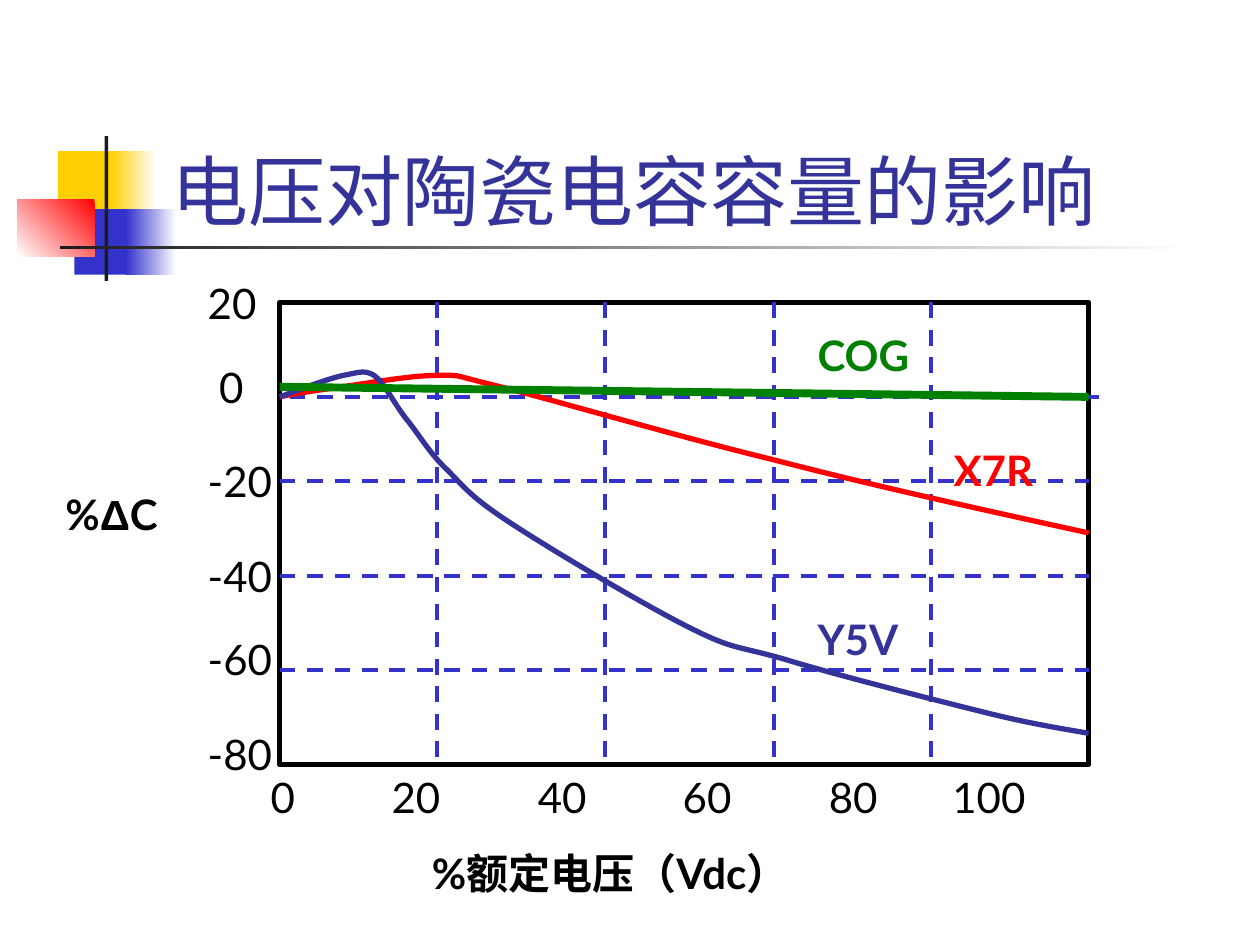
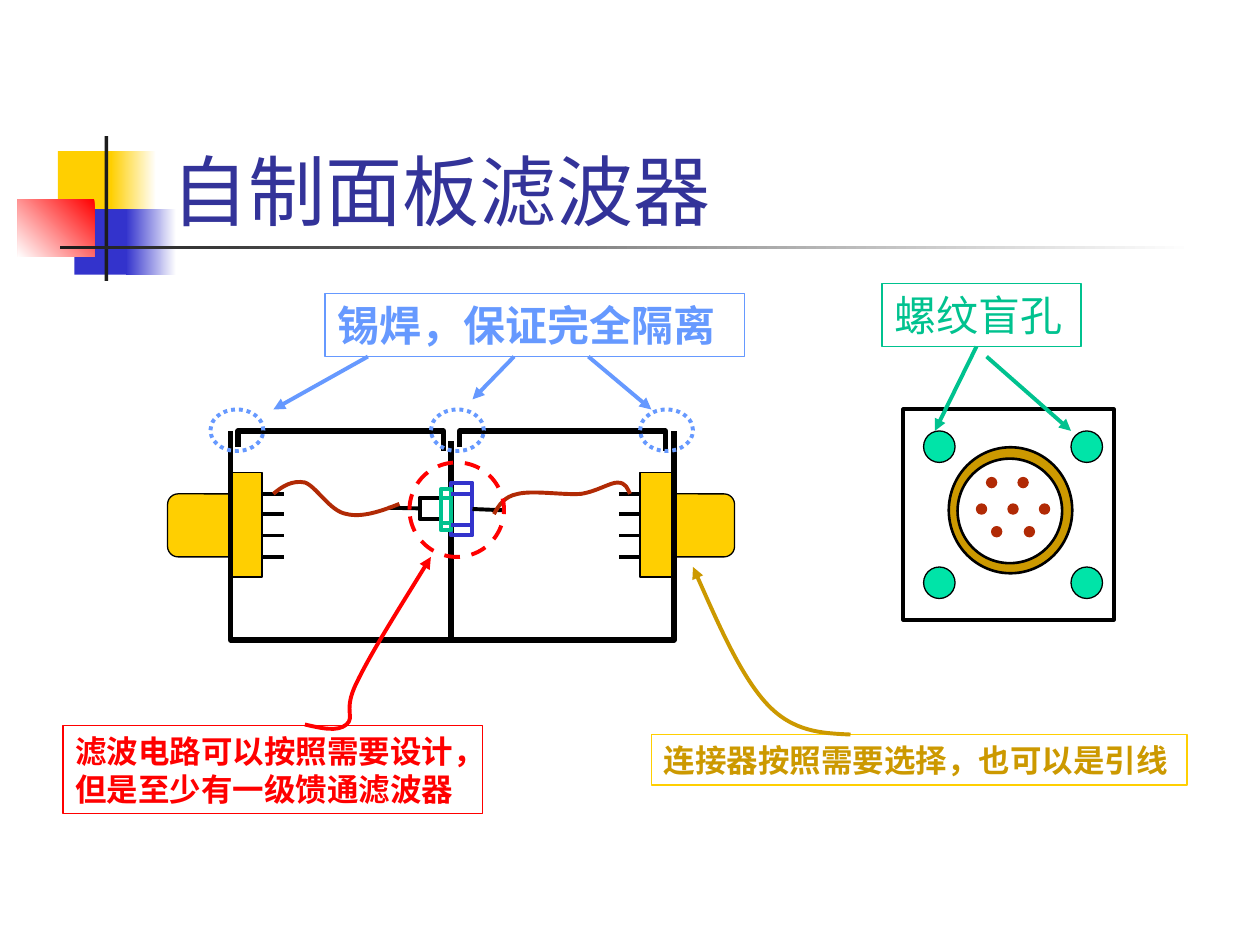
"""Build two slides: capacitor voltage curves and a home-made panel filter."""
from lxml import etree
from pptx import Presentation
from pptx.dml.color import RGBColor
from pptx.enum.dml import MSO_LINE
from pptx.enum.shapes import MSO_CONNECTOR, MSO_SHAPE
from pptx.enum.text import MSO_ANCHOR, MSO_AUTO_SIZE, PP_ALIGN
from pptx.oxml.ns import qn
from pptx.util import Inches, Pt

RECT, OVAL, ROUNDED = MSO_SHAPE.RECTANGLE, MSO_SHAPE.OVAL, MSO_SHAPE.ROUNDED_RECTANGLE
STRAIGHT = MSO_CONNECTOR.STRAIGHT
DASH, DOT = MSO_LINE.DASH, MSO_LINE.ROUND_DOT
LEFT, TOP, BOTTOM = PP_ALIGN.LEFT, MSO_ANCHOR.TOP, MSO_ANCHOR.BOTTOM
SIDE_LEFT, SIDE_RIGHT = 1, 3
TITLE_ONLY = 5
FONT = "Lato"

COLORS = {
    "white": "FFFFFF", "black": "000000", "ink": "1C1C1C", "title": "333399",
    "yellow": "FFCF01", "blue": "3333CC", "red": "FF0000", "green": "008000",
    "teal": "00C28F", "mint": "00E4A8", "rust": "B12A05", "gold": "CC9900",
    "sky": "6699FF",
}

TITLE_AT = (1.26, 0.67, 8.52, 1.25)
DECOR = [
    ((0.46, 1.2, 0.48, 0.52), "yellow"),
    ((0.88, 1.2, 0.36, 0.52), ("white", "yellow", 180)),
    ((0.59, 1.66, 0.46, 0.52), "blue"),
    ((1, 1.66, 0.4, 0.52), ("white", "blue", 180)),
    ((0.14, 1.58, 0.61, 0.46), ("red", "white", 225)),
    ((0.83, 1.08, 0.03, 1.15), "ink"),
    ((0.48, 1.95, 9, 0.03), ("white", "ink", 180)),
]

CHART_TITLE = "电压对陶瓷电容容量的影响"
PLOT = (2.22, 2.4, 6.42, 3.67)
GRID_X = [3.47, 4.8, 6.14, 7.39]
GRID_Y = [3.82, 4.57, 5.32]
ZERO_LINE = ((2.3, 3.15), (8.72, 3.15))
COG_LINE = ((2.22, 3.07), (8.64, 3.15))
CURVES = [
    ("red", [(2.22, 3.15), (2.36, 3.12), (2.51, 3.1), (2.72, 3.07), (2.93, 3.04),
             (3.26, 2.98), (3.47, 2.98), (3.68, 2.98), (3.52, 2.96), (3.97, 3.07),
             (4.41, 3.18), (5.36, 3.46), (6.14, 3.65), (6.91, 3.85), (7.77, 4.04),
             (8.64, 4.23)]),
    ("title", [(2.22, 3.15), (2.41, 3.08), (2.59, 3.01), (2.72, 2.98), (2.84, 2.96),
               (2.89, 2.93), (2.97, 2.98), (3.05, 3.04), (3.12, 3.19), (3.22, 3.32),
               (3.32, 3.44), (3.41, 3.6), (3.55, 3.73), (3.69, 3.87), (3.73, 3.94),
               (4.05, 4.15), (4.37, 4.36), (5.11, 4.8), (5.47, 4.98), (5.83, 5.16),
               (5.83, 5.12), (6.22, 5.23), (6.61, 5.35), (7.4, 5.55), (7.8, 5.65),
               (8.2, 5.75), (8.42, 5.78), (8.64, 5.82)]),
]
CURVE_LABELS = [("COG", 6.39, 2.57, "green"), ("X7R", 7.47, 3.48, "red"),
                ("Y5V", 6.39, 4.82, "title")]
Y_LABELS = [("20", 1.55, 2.15), ("0", 1.64, 2.82), ("-20", 1.55, 3.57),
            ("-40", 1.55, 4.32), ("-60", 1.55, 4.98), ("-80", 1.55, 5.73)]
X_LABELS = ["0", "20", "40", "60", "80", "100"]
X_TABS = [0.96, 2.12, 3.27, 4.43, 5.41]
X_AXIS_AT = (2.05, 6.07, 7, 1.11)
X_NAME, X_NAME_INDENT = "%额定电压（Vdc）", 1.28
Y_NAME, Y_NAME_AT = [("%", FONT), ("Δ", "Arial"), ("C", FONT)], (0.42, 3.83, 1.25, 0.5)

FILTER_TITLE = "自制面板滤波器"
MIRROR = 7.16
PIN_ROWS = [3.92, 4.08, 4.25, 4.42]
CASE = [(1.83, 3.42), (1.83, 5.08), (5.35, 5.08), (5.35, 3.42)]
LID_LEFTS, LID_WIDTH = [1.89, 3.65], 1.63
WIRES = [
    [(2.17, 3.92), (2.24, 3.86), (2.32, 3.81), (2.42, 3.83), (2.51, 3.86),
     (2.62, 4.06), (2.75, 4.08), (2.87, 4.11), (3.02, 4.06), (3.17, 4)],
    [(3.92, 4.08), (3.96, 4.01), (4, 3.94), (4.11, 3.92), (4.23, 3.89), (4.47, 3.93),
     (4.61, 3.92), (4.74, 3.9), (4.84, 3.83), (4.9, 3.83), (4.97, 3.83),
     (4.98, 3.88), (5, 3.92)],
]
CALLOUT_CURVES = [
    ("red", [(2.42, 5.75), (2.55, 5.78), (2.68, 5.81), (2.75, 5.75), (2.82, 5.69),
             (2.72, 5.64), (2.83, 5.42), (2.94, 5.19), (3.18, 4.81), (3.42, 4.42)]),
    ("gold", [(6.75, 5.83), (6.52, 5.82), (6.29, 5.81), (6.08, 5.58), (5.88, 5.36),
              (5.69, 4.93), (5.5, 4.5)]),
]
CALLOUTS = [
    ("滤波电路可以按照需要设计，但是至少有一级馈通滤波器",
     (0.5, 5.76, 3.33, 0.7), "red", "red", 18, True),
    ("连接器按照需要选择，也可以是引线", (5.17, 5.83, 4.25, 0.4), "yellow", "gold", 18, True),
    ("锡焊，保证完全隔离", (2.58, 2.33, 3.33, 0.5), "sky", "sky", 24, True),
    ("螺纹盲孔", (7, 2.25, 1.58, 0.5), "teal", "teal", 24, False),
]
CALLOUT_ARROWS = [
    ("sky", (2.92, 2.83), (2.17, 3.25)), ("sky", (4.08, 2.83), (3.75, 3.17)),
    ("sky", (4.67, 2.83), (5.17, 3.25)), ("teal", (7.75, 2.75), (7.42, 3.42)),
    ("teal", (7.83, 2.83), (8.5, 3.42)),
]
SOLDER_LEFTS = [1.67, 3.42, 5.08]
CONTACTS = [(7.83, 3.79), (8.08, 3.79), (7.75, 4), (8, 4), (8.25, 4),
            (7.87, 4.18), (8.13, 4.18)]
HOLES = [(x, y) for y in (3.42, 4.5) for x in (7.33, 8.5)]


def rgb(name):
    return RGBColor.from_string(COLORS[name])


def style_line(shape, color, width, dash=None, arrow=False):
    shape.line.color.rgb = rgb(color)
    shape.line.width = Pt(width)
    if dash:
        shape.line.dash_style = dash
    if arrow:
        outline = shape.element.spPr.find(qn("a:ln"))
        etree.SubElement(outline, qn("a:tailEnd"), type="triangle")


def add_box(page, kind, at, fill=None, line=None):
    box = page.shapes.add_shape(kind, *map(Inches, at))
    box.shadow.inherit = False
    if fill is None:
        box.fill.background()
    elif isinstance(fill, tuple):
        *names, angle = fill
        box.fill.gradient()
        box.fill.gradient_angle = angle
        for position, (stop, name) in enumerate(zip(box.fill.gradient_stops, names)):
            stop.position = position
            stop.color.rgb = rgb(name)
    else:
        box.fill.solid()
        box.fill.fore_color.rgb = rgb(fill)
    if line:
        style_line(box, *line)
    else:
        box.line.fill.background()
    return box


def add_line(page, start, end, *line):
    connector = page.shapes.add_connector(STRAIGHT, *map(Inches, (*start, *end)))
    style_line(connector, *line)
    etree.SubElement(connector.element.spPr, qn("a:effectLst"))
    return connector


def add_outline(page, points, line, curved=False):
    """Draw an open outline; curved points are a start and triples of Bezier points."""
    start, *rest = [tuple(map(Inches, point)) for point in points]
    builder = page.shapes.build_freeform(*start)
    builder.add_line_segments(rest, close=False)
    outline = builder.convert_to_shape()
    outline.shadow.inherit = False
    outline.fill.background()
    style_line(outline, *line)
    if curved:
        route = outline.element.spPr.find(".//" + qn("a:path"))
        segments = route.findall(qn("a:lnTo"))
        for index in range(0, len(segments), 3):
            curve = etree.SubElement(route, qn("a:cubicBezTo"))
            for segment in segments[index:index + 3]:
                curve.append(segment[0])
                route.remove(segment)


def add_span(para, text, color="black", size=24, bold=False, font=FONT):
    span = para.add_run()
    span.text = text
    for name, value in {"name": font, "size": Pt(size), "bold": bold}.items():
        setattr(span.font, name, value)
    span.font.color.rgb = rgb(color)


def format_frame(frame, anchor=TOP):
    values = {"word_wrap": True, "vertical_anchor": anchor, "auto_size": MSO_AUTO_SIZE.NONE}
    for name, value in values.items():
        setattr(frame, name, value)
    frame.paragraphs[0].alignment = LEFT
    return frame.paragraphs[0]


def add_text(page, at, text="", **font):
    box = page.shapes.add_textbox(*map(Inches, at))
    para = format_frame(box.text_frame)
    if text:
        add_span(para, text, **font)
    return box


def add_page(deck, title):
    page = deck.slides.add_slide(deck.slide_layouts[TITLE_ONLY])
    holder = page.shapes.title
    for name, value in zip(("left", "top", "width", "height"), TITLE_AT):
        setattr(holder, name, Inches(value))
    add_span(format_frame(holder.text_frame, BOTTOM), title, "title", 44)
    return page


def add_decor(deck, page):
    """Place the shared ornament on the layout."""
    tree = deck.slide_layouts[TITLE_ONLY].shapes.element
    for at, fill in DECOR:
        tree.append(add_box(page, RECT, at, fill).element)


def build_chart(page):
    left, top, width, height = PLOT
    add_box(page, RECT, PLOT, line=("black", 3))
    grid = [((x, top), (x, top + height)) for x in GRID_X]
    grid += [((left, y), (left + width, y)) for y in GRID_Y]
    for start, end in grid + [ZERO_LINE]:
        add_line(page, start, end, "blue", 2.25, DASH)
    for color, points in CURVES:
        add_outline(page, points, (color, 3), curved=True)
    add_line(page, *COG_LINE, "green", 4.5)
    for text, x, y, color in CURVE_LABELS:
        add_text(page, (x, y, 1, 0.5), text, color=color, bold=True)
    for text, x, y in Y_LABELS:
        add_text(page, (x, y, 0.75, 0.5), text)

    frame = add_text(page, X_AXIS_AT, "\t".join(X_LABELS)).text_frame
    properties = frame.paragraphs[0]._p.get_or_add_pPr()
    stops = etree.SubElement(properties, qn("a:tabLst"))
    for stop in X_TABS:
        etree.SubElement(stops, qn("a:tab"), pos=str(Inches(stop)), algn="l")
    para = frame.add_paragraph()
    para.space_before = Pt(15)
    para._p.get_or_add_pPr().set("marL", str(Inches(X_NAME_INDENT)))
    add_span(para, X_NAME, bold=True)

    para = add_text(page, Y_NAME_AT).text_frame.paragraphs[0]
    for text, font in Y_NAME:
        add_span(para, text, bold=True, font=font)


def add_plug(page, mirrored):
    group = page.shapes.add_group_shape()
    for kind, (x, y, width, height) in ((ROUNDED, (1.33, 3.92, 0.58, 0.5)),
                                        (RECT, (1.83, 3.75, 0.25, 0.83))):
        x = MIRROR - x - width if mirrored else x
        add_box(group, kind, (x, y, width, height), "yellow", ("black", 0.75))
    ends = [MIRROR - x if mirrored else x for x in (2.08, 2.25)]
    for y in PIN_ROWS:
        add_line(group, (ends[0], y), (ends[1], y), "black", 2.25)


def add_feedthrough(page):
    add_line(page, (3.58, 3.5), (3.58, 5.08), "black", 3)
    nut = add_box(page, RECT, (3.58, 3.83, 0.17, 0.42), line=("blue", 2.25))
    body = add_box(page, RECT, (3.33, 3.95, 0.25, 0.17), line=("black", 2.25))
    add_box(page, RECT, (3.5, 3.88, 0.08, 0.33), "white", ("teal", 2.25))
    for x, end, rows, color in ((3.58, 3.75, (3.92, 4.17), "blue"),
                                (3.5, 3.58, (3.95, 4.15), "teal")):
        for y in rows:
            add_line(page, (x, y), (end, y), color, 2.25)
    add_line(page, (3.08, 4.03), (3.33, 4.03), "black", 2.25).end_connect(body, SIDE_LEFT)
    add_line(page, (3.75, 4.05), (4, 4.05), "black", 2.25).begin_connect(nut, SIDE_RIGHT)


def add_socket(page):
    add_box(page, RECT, (7.17, 3.25, 1.67, 1.67), line=("black", 2.25))
    add_box(page, OVAL, (7.53, 3.55, 0.98, 1), "gold", ("black", 1.5))
    add_box(page, OVAL, (7.6, 3.64, 0.83, 0.83), "white", ("black", 1.5))
    for places, size, fill, line in ((CONTACTS, 0.08, "rust", "rust"),
                                     (HOLES, 0.25, "mint", "black")):
        for x, y in places:
            add_box(page, OVAL, (x, y, size, size), fill, (line, 0.75))


def build_filter(page):
    add_plug(page, False)
    add_feedthrough(page)
    add_plug(page, True)
    add_outline(page, CASE, ("black", 3))
    for x in LID_LEFTS:
        right = x + LID_WIDTH
        add_outline(page, [(x, 3.55), (x, 3.42), (right, 3.42), (right, 3.58)], ("black", 3))
    for points in WIRES:
        add_outline(page, points, ("rust", 2.25), curved=True)
    add_box(page, OVAL, (3.25, 3.67, 0.75, 0.75), line=("red", 2.25, DASH))
    for x in SOLDER_LEFTS:
        add_box(page, OVAL, (x, 3.25, 0.42, 0.33), line=("sky", 2.25, DOT))
    add_socket(page)
    for text, at, line, color, size, bold in CALLOUTS:
        box = add_box(page, RECT, at, line=(line, 0.75))
        add_span(format_frame(box.text_frame), text, color, size, bold)
    for color, points in CALLOUT_CURVES:
        add_outline(page, points, (color, 2.25, None, True), curved=True)
    for color, start, end in CALLOUT_ARROWS:
        add_line(page, start, end, color, 2.25, None, True)


def main():
    deck = Presentation()
    deck.slide_width, deck.slide_height = Inches(10), Inches(7.5)
    chart_page = add_page(deck, CHART_TITLE)
    add_decor(deck, chart_page)
    build_chart(chart_page)
    build_filter(add_page(deck, FILTER_TITLE))
    deck.save("out.pptx")


if __name__ == "__main__":
    main()
